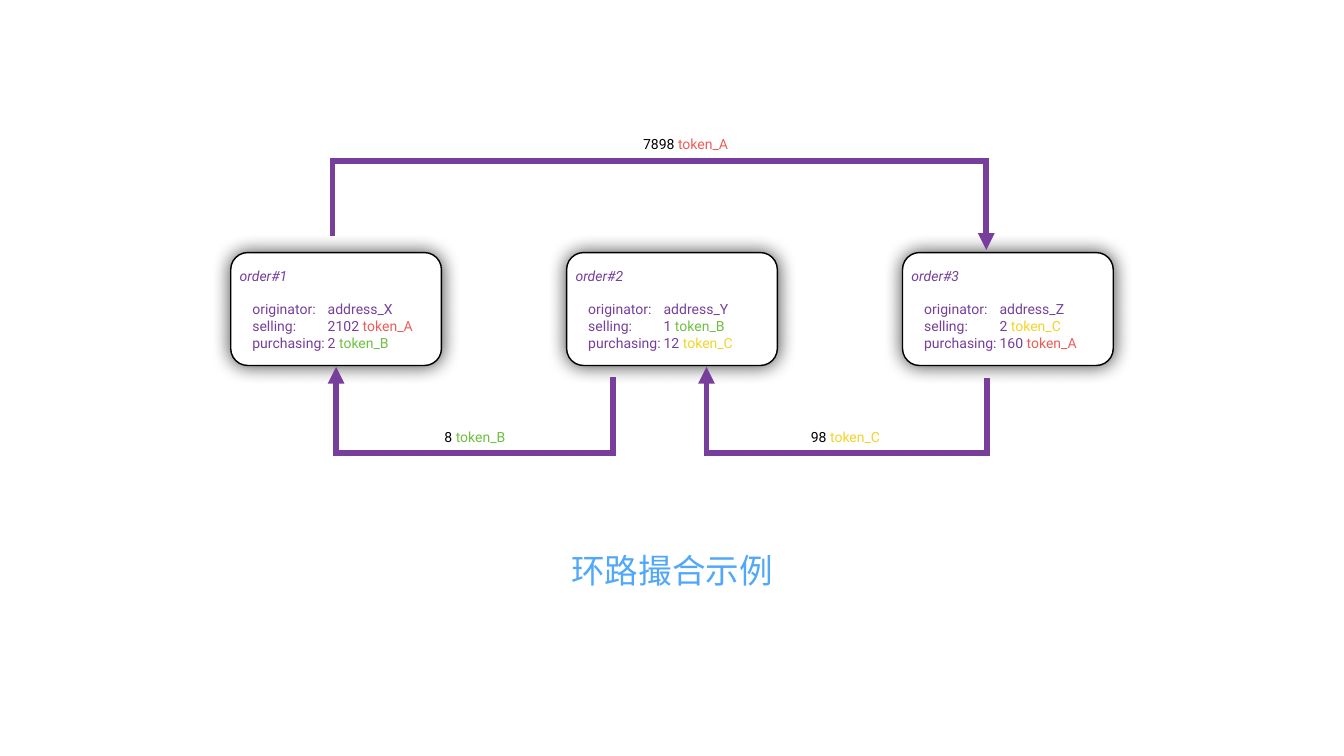
from dataclasses import dataclass

from lxml import etree
from pptx import Presentation
from pptx.dml.color import RGBColor
from pptx.enum.shapes import MSO_CONNECTOR, MSO_SHAPE
from pptx.enum.text import MSO_ANCHOR, MSO_AUTO_SIZE, PP_ALIGN
from pptx.oxml.ns import qn
from pptx.util import Cm, Pt

ROUNDED = MSO_SHAPE.ROUNDED_RECTANGLE
STRAIGHT = MSO_CONNECTOR.STRAIGHT
MIDDLE = MSO_ANCHOR.MIDDLE
LEFT, CENTER = PP_ALIGN.LEFT, PP_ALIGN.CENTER
NO_FIT = MSO_AUTO_SIZE.NONE

WHITE = RGBColor(0xFF, 0xFF, 0xFF)
BLACK = RGBColor(0x00, 0x00, 0x00)
PURPLE = RGBColor(0x77, 0x3F, 0x9B)
BLUE = RGBColor(0x51, 0xA8, 0xF9)
TOKENS = {
    "token_A": RGBColor(0xEC, 0x5C, 0x57),
    "token_B": RGBColor(0x70, 0xBF, 0x41),
    "token_C": RGBColor(0xF5, 0xD3, 0x28),
}

FONT = "Roboto"
INSET = 0.2
INDENT = 0.64
VALUE_COL = 4.44
BOX_LEFT, BOX_TOP, BOX_PITCH = 11.63, 12.73, 16.93
BOX_WIDTH, BOX_HEIGHT = 10.62, 5.69
LINE_WIDTH = 8
OVERLAP = 0.15


@dataclass
class Order:
    name: str
    owner: str
    sells: tuple[str, str]
    buys: tuple[str, str]


@dataclass
class Link:
    """A bent arrow: x of both legs, y of the bar and of both leg ends."""
    start: float
    end: float
    bar: float
    start_y: float
    end_y: float


@dataclass
class Label:
    left: float
    top: float
    width: float
    amount: str
    token: str


ORDERS = [
    Order("order#1", "address_X", ("2102", "token_A"), ("2", "token_B")),
    Order("order#2", "address_Y", ("1", "token_B"), ("12", "token_C")),
    Order("order#3", "address_Z", ("2", "token_C"), ("160", "token_A")),
]
LOWER = [
    Link(30.91, 16.94, 22.83, 19.0, 18.49),
    Link(49.76, 35.61, 22.83, 19.05, 18.49),
]
UPPER = [Link(16.76, 49.71, 8.1, 11.91, 12.6)]
LABELS = [
    Label(21.56, 21.36, 4.19, "8", "token_B"),
    Label(40.03, 21.36, 4.6, "98", "token_C"),
    Label(31.57, 6.6, 5.41, "7898", "token_A"),
]


def add_run(para, text: str, color: RGBColor, size: int = 20,
            italic: bool = False) -> None:
    run = para.add_run()
    run.text = text
    font = run.font
    font.name, font.size, font.italic = FONT, Pt(size), italic
    font.color.rgb = color


def set_frame(frame, wrap: bool, left: float = INSET) -> None:
    frame.word_wrap = wrap
    frame.auto_size = NO_FIT
    frame.vertical_anchor = MIDDLE
    frame.margin_left = Cm(left)
    frame.margin_right = frame.margin_top = frame.margin_bottom = Cm(INSET)


def add_glow(shape) -> None:
    """Give the shape a soft black shadow on all sides."""
    shape.shadow.inherit = False
    effects = shape._element.spPr.find(qn("a:effectLst"))
    shadow = etree.SubElement(effects, qn("a:outerShdw"),
                              blurRad=str(Pt(28)), dist="0", dir="0",
                              algn="ctr", rotWithShape="0")
    color = etree.SubElement(shadow, qn("a:srgbClr"), val=str(BLACK))
    etree.SubElement(color, qn("a:alpha"), val="75000")


def add_detail(frame, field: str, value: str, token: str = ""):
    """Add a line whose value starts at the hanging indent."""
    para = frame.add_paragraph()
    para.alignment = LEFT
    props = para._p.get_or_add_pPr()
    props.set("marL", str(Cm(VALUE_COL)))
    props.set("indent", str(Cm(INDENT - VALUE_COL)))
    add_run(para, f"{field}:\t{value}" + (" " if token else ""), PURPLE)
    if token:
        add_run(para, token, TOKENS[token])
    return para


def add_order(shapes, order: Order, left: float) -> None:
    box = shapes.add_shape(ROUNDED, Cm(left), Cm(BOX_TOP),
                           Cm(BOX_WIDTH), Cm(BOX_HEIGHT))
    box.adjustments[0] = 0.15
    box.fill.solid()
    box.fill.fore_color.rgb = WHITE
    box.line.color.rgb = BLACK
    box.line.width = Pt(2)
    add_glow(box)
    frame = box.text_frame
    set_frame(frame, True)
    head = frame.paragraphs[0]
    head.alignment = LEFT
    add_run(head, order.name, PURPLE, italic=True)
    first = add_detail(frame, "originator", order.owner)
    first.space_before = Pt(23.5)
    add_detail(frame, "selling", *order.sells)
    add_detail(frame, "purchasing", *order.buys)


def add_line(shapes, x1: float, y1: float, x2: float, y2: float,
             arrow: bool = False) -> None:
    line = shapes.add_connector(STRAIGHT, Cm(x1), Cm(y1), Cm(x2), Cm(y2))
    line.line.color.rgb = PURPLE
    line.line.width = Pt(LINE_WIDTH)
    if arrow:
        etree.SubElement(line.line._get_or_add_ln(), qn("a:tailEnd"),
                         type="triangle")
    etree.SubElement(line._element.spPr, qn("a:effectLst"))


def add_links(shapes, links: list[Link]) -> None:
    group = shapes.add_group_shape().shapes
    for link in links:
        shift = OVERLAP if link.bar > link.end_y else -OVERLAP
        edge = link.bar + shift
        left, right = sorted((link.start, link.end))
        add_line(group, link.end, edge, link.end, link.end_y, arrow=True)
        add_line(group, link.start, edge, link.start, link.start_y)
        add_line(group, left, link.bar, right + OVERLAP, link.bar)


def add_label(shapes, label: Label) -> None:
    box = shapes.add_textbox(Cm(label.left), Cm(label.top),
                             Cm(label.width), Cm(1.32))
    set_frame(box.text_frame, False, INSET + INDENT)
    para = box.text_frame.paragraphs[0]
    para.alignment = LEFT
    add_run(para, f"{label.amount} ", BLACK)
    add_run(para, label.token, TOKENS[label.token])


def set_title(title, text: str) -> None:
    title.left, title.top = Cm(28.58), Cm(27.33)
    title.width, title.height = Cm(10.59), Cm(2.77)
    set_frame(title.text_frame, False)
    para = title.text_frame.paragraphs[0]
    para.alignment = CENTER
    add_run(para, text, BLUE, 48)


def main() -> None:
    deck = Presentation()
    deck.slide_width, deck.slide_height = Cm(67.74), Cm(38.1)
    shapes = deck.slides.add_slide(deck.slide_layouts[5]).shapes
    set_title(shapes.title, "环路撮合示例")
    for i, order in enumerate(ORDERS):
        add_order(shapes, order, BOX_LEFT + i * BOX_PITCH)
    add_links(shapes, LOWER)
    add_links(shapes, UPPER)
    for label in LABELS:
        add_label(shapes, label)
    deck.save("out.pptx")


if __name__ == "__main__":
    main()
